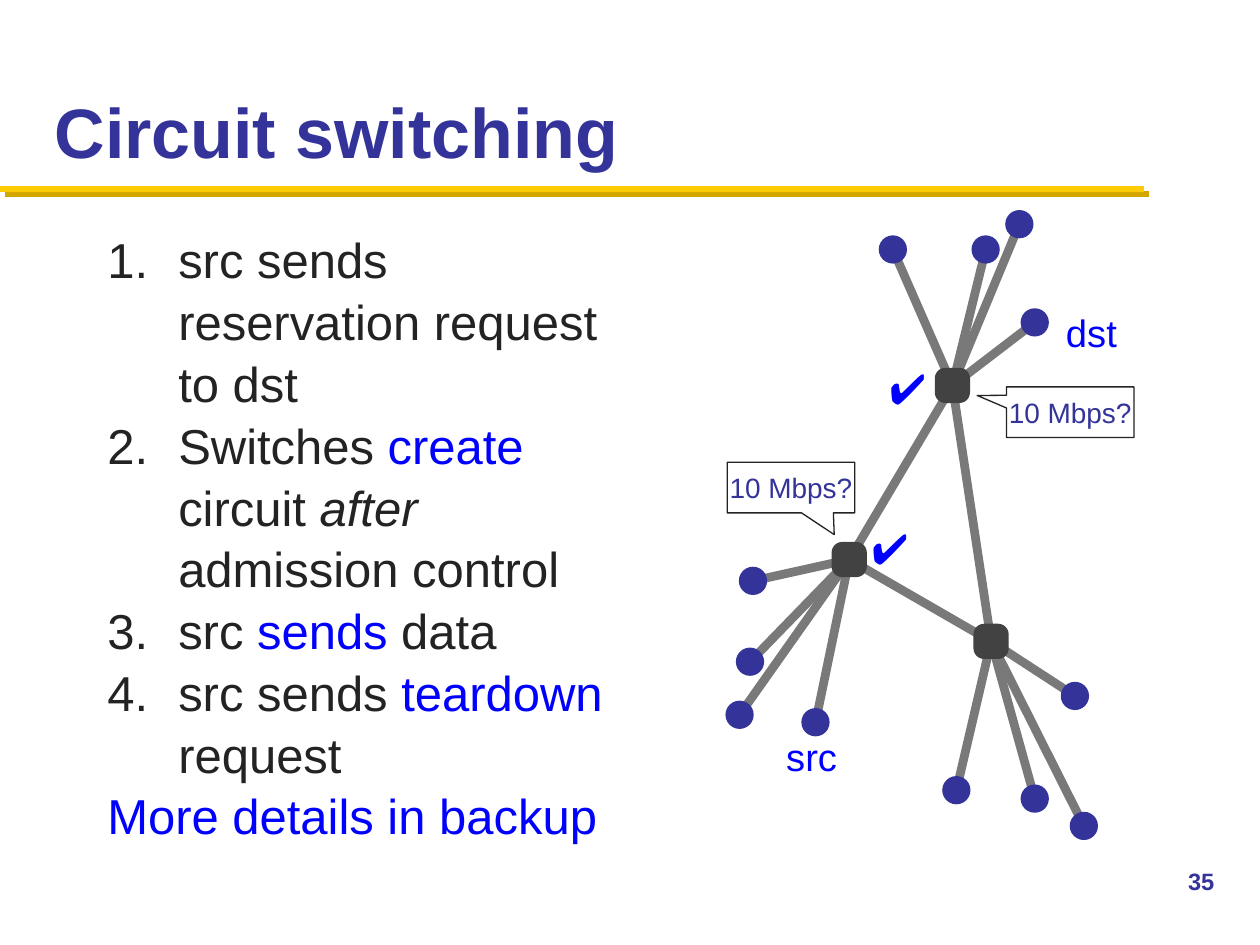
from lxml import etree
from pptx import Presentation
from pptx.dml.color import RGBColor
from pptx.enum.shapes import MSO_CONNECTOR as CONN, MSO_SHAPE as SHAPE
from pptx.enum.text import MSO_ANCHOR as ANCHOR, MSO_AUTO_SIZE as AUTO, PP_ALIGN as ALIGN
from pptx.oxml.ns import qn
from pptx.util import Cm, Pt

COLORS = {
    "navy": "333399", "blue": "0000FF", "ink": "232323", "link": "797979",
    "switch": "424242", "gold": "FFCB05", "dark_gold": "D3A600",
}

# Centres in cm; each switch has its own hosts.
SWITCHES = {"top": (19.2, 7.77), "left": (17.12, 11.28), "right": (19.98, 12.93)}
HOSTS = {
    "top": [(18, 5.03), (19.87, 5.03), (20.55, 4.52), (20.86, 6.5)],
    "left": [(15.18, 11.71), (15.12, 13.34), (14.91, 14.41), (16.44, 14.56)],
    "right": [(19.28, 15.93), (20.86, 16.1), (21.85, 16.65), (21.67, 14.03)],
}
TRUNKS = [("left", "top"), ("left", "right"), ("top", "right")]

# Each run is (text, color, italic).
STEPS = [
    [("src sends reservation request to dst", "ink", False)],
    [("Switches ", "ink", False), ("create", "blue", False), (" circuit ", "ink", False),
     ("after", "ink", True), (" admission control", "ink", False)],
    [("src ", "ink", False), ("sends", "blue", False), (" data", "ink", False)],
    [("src sends ", "ink", False), ("teardown", "blue", False), (" request", "ink", False)],
]
CLOSING = [("More details in backup", "blue", False)]


def rgb(name):
    return RGBColor.from_string(COLORS[name])


def add_run(p, text, size, color, bold=False, italic=False, font="Arial"):
    r = p.add_run()
    r.text = text
    r.font.name = font
    r.font.size = Pt(size)
    r.font.bold = bold
    r.font.italic = italic
    r.font.color.rgb = rgb(color)


def place(sp, left, top, width, height):
    sp.left, sp.top, sp.width, sp.height = Cm(left), Cm(top), Cm(width), Cm(height)


def add_line(s, start, end, color, width):
    """Draw a straight line and return its empty effect list."""
    line = s.shapes.add_connector(CONN.STRAIGHT, *map(Cm, start + end))
    line.line.color.rgb = rgb(color)
    line.line.width = Pt(width)
    return etree.SubElement(line._element.spPr, qn("a:effectLst"))


def add_title_rule(s):
    effects = add_line(s, (0, 3.81), (23.06, 3.81), "gold", 3.5)
    shadow = etree.SubElement(effects, qn("a:outerShdw"), blurRad="0",
                              dist=str(Pt(4.2)), dir="2700000", algn="ctr", rotWithShape="0")
    etree.SubElement(shadow, qn("a:srgbClr"), val=COLORS["dark_gold"])


def fill_title(title):
    place(title, 0.85, 0.42, 23.7, 3.18)
    tf = title.text_frame
    tf.vertical_anchor = ANCHOR.BOTTOM
    tf.auto_size = AUTO.NONE
    p = tf.paragraphs[0]
    p.alignment = ALIGN.LEFT
    add_run(p, "Circuit switching", 40, "navy", bold=True)


def set_numbering(p, numbered):
    pPr = p._p.get_or_add_pPr()
    indent = Cm(1.43) if numbered else 0
    pPr.set("marL", str(indent))
    pPr.set("indent", str(-indent))
    if numbered:
        etree.SubElement(pPr, qn("a:buFont"), typeface="+mj-lt")
        etree.SubElement(pPr, qn("a:buAutoNum"), type="arabicPeriod")
    else:
        etree.SubElement(pPr, qn("a:buNone"))


def fill_body(body):
    place(body, 1.91, 4.45, 10.8, 12.28)
    tf = body.text_frame
    tf.auto_size = AUTO.NONE
    for i, runs in enumerate(STEPS + [CLOSING]):
        p = tf.add_paragraph() if i else tf.paragraphs[0]
        set_numbering(p, runs is not CLOSING)
        p.space_before = Pt(0)
        p.line_spacing = 1.05
        for text, color, italic in runs:
            add_run(p, text, 28, color, italic=italic)


def add_node(s, kind, center, size, color):
    x, y = center
    node = s.shapes.add_shape(kind, Cm(x - size / 2), Cm(y - size / 2), Cm(size), Cm(size))
    node.shadow.inherit = False
    node.fill.solid()
    node.fill.fore_color.rgb = rgb(color)
    node.line.fill.background()
    return node


def add_network(s):
    links = [(SWITCHES[a], SWITCHES[b]) for a, b in TRUNKS]
    links += [(host, SWITCHES[name]) for name, hosts in HOSTS.items() for host in hosts]
    for start, end in links:
        add_line(s, start, end, "link", 5)
    for name, center in SWITCHES.items():
        for host in HOSTS[name]:
            add_node(s, SHAPE.OVAL, host, 0.57, "navy")
        add_node(s, SHAPE.ROUNDED_RECTANGLE, center, 0.71, "switch").adjustments[0] = 0.3


def add_label(s, text, box, size, color, bold=False, font="Arial", inset=None):
    tf = s.shapes.add_textbox(*map(Cm, box)).text_frame
    tf.word_wrap = False
    if inset is not None:
        tf.vertical_anchor = ANCHOR.MIDDLE
        tf.margin_left = tf.margin_right = tf.margin_top = tf.margin_bottom = Cm(inset)
    add_run(tf.paragraphs[0], text, size, color, bold=bold, font=font)


def add_callout(s, left, top, tip):
    """Ask a switch for bandwidth; tip is relative to the box's centre and size."""
    sp = s.shapes.add_shape(SHAPE.RECTANGULAR_CALLOUT, Cm(left), Cm(top), Cm(2.57), Cm(1.02))
    sp.shadow.inherit = False
    sp.adjustments[0], sp.adjustments[1] = tip
    sp.fill.background()
    sp.line.color.rgb = rgb("ink")
    sp.line.width = Pt(0.75)
    tf = sp.text_frame
    tf.word_wrap = False
    tf.vertical_anchor = ANCHOR.MIDDLE
    p = tf.paragraphs[0]
    p.alignment = ALIGN.CENTER
    add_run(p, "10 Mbps?", 16, "navy")


def main():
    prs = Presentation()
    prs.slide_width, prs.slide_height = Cm(25.4), Cm(19.05)
    s = prs.slides.add_slide(prs.slide_layouts[1])
    add_title_rule(s)
    fill_title(s.shapes.title)
    fill_body(s.placeholders[1])
    add_label(s, "35", (23.7, 17.35, 1.7, 1.27), 13.5, "navy", bold=True)
    add_network(s)
    for text, left, top in [("dst", 21.39, 6.12), ("src", 15.75, 14.68)]:
        add_label(s, text, (left, top, 1.24, 1.14), 21.8, "blue", inset=0.1)
    add_callout(s, 14.66, 9.32, (0.34, 0.93))
    add_callout(s, 20.29, 7.8, (-0.73, -0.33))
    for left, top in [(17.32, 10.41), (17.68, 7.19)]:
        add_label(s, "✔️", (left, top, 1.37, 1.27), 24, "blue", font="Calibri")
    prs.save("out.pptx")


if __name__ == "__main__":
    main()
